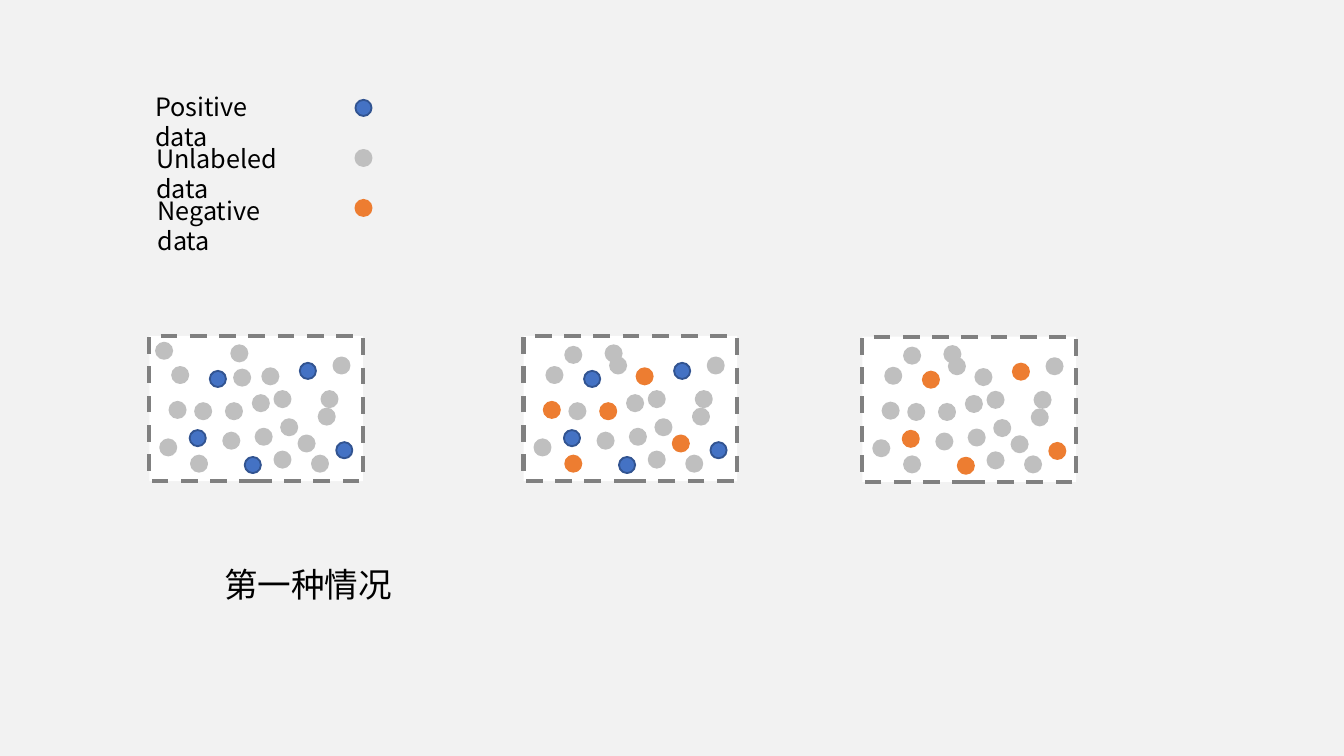
"""Build a slide comparing three mixes of positive, unlabeled and negative data."""
from pptx import Presentation
from pptx.dml.color import RGBColor
from pptx.enum.dml import MSO_LINE
from pptx.enum.shapes import MSO_SHAPE
from pptx.enum.text import MSO_AUTO_SIZE
from pptx.util import Pt

COLORS = {
    "background": "F2F2F2",
    "panel": "FFFFFF",
    "frame": "808080",
    "positive": "4472C4",
    "positive_line": "325491",
    "unlabeled": "BFBFBF",
    "negative": "ED7D31",
    "text": "000000",
}
FONT = "Noto Sans CJK SC"
DOT = 8.64
LABELED_DOTS = [(32.4, 18.7), (80.6, 14.4), (21.6, 50.4), (100.1, 56.9), (51.1, 64.8)]
SHARED_DOTS = [
    (12.2, 16.6), (67, 61.9), (67, 29.5), (5.8, 55.4), (39.6, 51.8),
    (98.6, 11.5), (70.6, 44.6), (87.1, 64.1), (55.4, 31.7), (24.5, 36),
    (90.7, 38.9), (56.9, 49.7), (92.2, 29.5), (43.9, 5),
]
CHANGING_DOTS = [(41, 36), (22.3, 64.1), (60.5, 17.3), (79.9, 53.3), (10.8, 35.3)]
FIRST_EXTRA_DOTS = [(45.4, 18), (3.6, 3.6)]
LATER_EXTRA_DOTS = [(46.3, 11.5), (22.3, 5.8)]

presentation = Presentation()
presentation.slide_width, presentation.slide_height = Pt(720), Pt(405)
slide = presentation.slides.add_slide(presentation.slide_layouts[6])
slide.background.fill.solid()
slide.background.fill.fore_color.rgb = RGBColor.from_string(COLORS["background"])


def add_shape(kind, left, top, width, height, fill, line, line_width=1):
    shape = slide.shapes.add_shape(kind, Pt(left), Pt(top), Pt(width), Pt(height))
    shape.shadow.inherit = False
    shape.fill.solid()
    shape.fill.fore_color.rgb = RGBColor.from_string(COLORS[fill])
    shape.line.color.rgb = RGBColor.from_string(COLORS[line])
    shape.line.width = Pt(line_width)
    return shape


def add_text(text, left, top, width, height, size=13.5):
    text_box = slide.shapes.add_textbox(Pt(left), Pt(top), Pt(width), Pt(height))
    text_box.text_frame.word_wrap = True
    text_box.text_frame.auto_size = MSO_AUTO_SIZE.SHAPE_TO_FIT_TEXT
    run = text_box.text_frame.paragraphs[0].add_run()
    run.text = text
    run.font.name = FONT
    run.font.size = Pt(size)
    run.font.color.rgb = RGBColor.from_string(COLORS["text"])


panels = [
    (80, 180, "positive", "unlabeled", FIRST_EXTRA_DOTS),
    (280.5, 180, "positive", "negative", LATER_EXTRA_DOTS),
    (462, 180.4, "negative", "unlabeled", LATER_EXTRA_DOTS),
]
for left, top, labeled, changing, extra_dots in panels:
    frame = add_shape(MSO_SHAPE.RECTANGLE, left, top, 114.5, 77.8, "panel", "frame", 2.25)
    frame.line.dash_style = MSO_LINE.DASH
    groups = [
        (labeled, LABELED_DOTS),
        (changing, CHANGING_DOTS),
        ("unlabeled", SHARED_DOTS + extra_dots),
    ]
    for kind, dots in groups:
        outline = "positive_line" if kind == "positive" else kind
        for x, y in dots:
            add_shape(MSO_SHAPE.FLOWCHART_CONNECTOR, left + x, top + y, DOT, DOT, kind, outline)

legend = [
    ("Positive data", 76, 88.6, "positive", "positive_line"),
    ("Unlabeled data", 76.6, 103, "unlabeled", "unlabeled"),
    ("Negative data", 77.4, 96.5, "negative", "negative"),
]
for row, (label, left, width, fill, outline) in enumerate(legend):
    add_text(label, left, 45.4 + 27.8 * row, width, 23.8)
    add_shape(MSO_SHAPE.FLOWCHART_CONNECTOR, 190.4, 53.5 + 26.8 * row, DOT, DOT, fill, outline)

add_text("第一种情况", 113, 298.8, 105.1, 28.8, size=18)

presentation.save("out.pptx")
